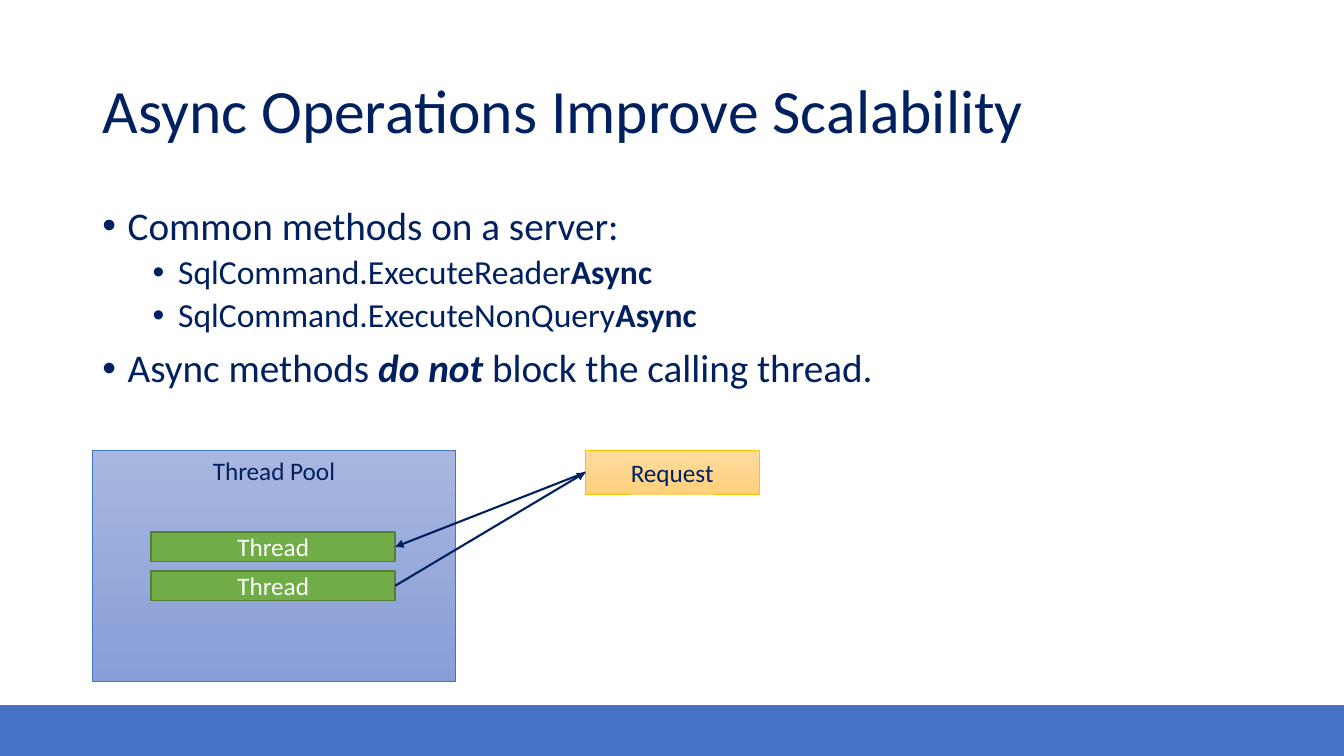
from lxml import etree
from pptx import Presentation
from pptx.dml.color import RGBColor
from pptx.enum.shapes import MSO_CONNECTOR, MSO_SHAPE
from pptx.enum.text import MSO_ANCHOR, MSO_AUTO_SIZE, PP_ALIGN
from pptx.oxml.ns import qn
from pptx.util import Cm, Pt

FONT = "Calibri"
COLORS = {
    "navy": "002060", "white": "FFFFFF", "blue": "4472C4",
    "pool_top": "A8B7DF", "pool_bottom": "889ED7",
    "green": "70AD47", "dark_green": "538035",
    "request_top": "FFDB9E", "request_bottom": "FFD07C", "gold": "FFC000",
}
LEFT_SITE, RIGHT_SITE = 1, 3


def rgb(name):
    """Return the named colour."""
    return RGBColor.from_string(COLORS[name])


def add_run(paragraph, text, size, color="navy", bold=False, italic=False):
    """Append a formatted run to a paragraph."""
    run = paragraph.add_run()
    run.text = text
    font = run.font
    font.name, font.size, font.bold, font.italic = FONT, Pt(size), bold, italic
    font.color.rgb = rgb(color)


def add_box(slide, box, fills, line, width, text="", color="navy", anchor=MSO_ANCHOR.MIDDLE):
    """Add a labelled rectangle with a solid or top-to-bottom gradient fill."""
    shape = slide.shapes.add_shape(MSO_SHAPE.RECTANGLE, *map(Cm, box))
    shape.shadow.inherit = False
    if len(fills) == 1:
        shape.fill.solid()
        shape.fill.fore_color.rgb = rgb(fills[0])
    else:
        shape.fill.gradient()
        shape.fill.gradient_angle = 270
        for stop, name in zip(shape.fill.gradient_stops, fills):
            stop.color.rgb = rgb(name)
    shape.line.color.rgb = rgb(line)
    shape.line.width = Pt(width)
    if text:
        frame = shape.text_frame
        frame.word_wrap = True
        frame.vertical_anchor = anchor
        frame.paragraphs[0].alignment = PP_ALIGN.CENTER
        add_run(frame.paragraphs[0], text, 18, color)
    return shape


def add_arrow(slide, start, start_site, end, end_site):
    """Connect two shapes with an arrow pointing at the second."""
    arrow = slide.shapes.add_connector(MSO_CONNECTOR.STRAIGHT, 0, 0, 0, 0)
    arrow.begin_connect(start, start_site)
    arrow.end_connect(end, end_site)
    arrow.line.color.rgb = rgb("navy")
    arrow.line.width = Pt(1.5)
    etree.SubElement(arrow.line._get_or_add_ln(), qn("a:tailEnd"), type="triangle")
    etree.SubElement(arrow._element.spPr, qn("a:effectLst"))


def add_title(slide, box, text):
    """Place and format the title placeholder."""
    title = slide.shapes.title
    title.left, title.top, title.width, title.height = map(Cm, box)
    frame = title.text_frame
    frame.word_wrap = True
    frame.auto_size = MSO_AUTO_SIZE.NONE
    frame.vertical_anchor = MSO_ANCHOR.MIDDLE
    paragraph = frame.paragraphs[0]
    paragraph.alignment = PP_ALIGN.LEFT
    paragraph.line_spacing = 0.9
    add_run(paragraph, text, 44)


def add_bullets(slide, box, items):
    """Add a two-level bullet list of (level, runs) items."""
    frame = slide.shapes.add_textbox(*map(Cm, box)).text_frame
    frame.word_wrap = True
    for index, (level, runs) in enumerate(items):
        paragraph = frame.add_paragraph() if index else frame.paragraphs[0]
        paragraph.level = level
        paragraph.line_spacing = 0.9
        paragraph.space_before = Pt(5 if level else 10)
        properties = paragraph._p.get_or_add_pPr()
        properties.set("marL", str(Cm(0.64 + 1.27 * level)))
        properties.set("indent", str(-Cm(0.64)))
        etree.SubElement(properties, qn("a:buFont"), typeface="Arial")
        etree.SubElement(properties, qn("a:buChar"), char="•")
        for text, bold, italic in runs:
            add_run(paragraph, text, 24 if level else 28, bold=bold, italic=italic)


def add_thread_diagram(slide, box):
    """Draw the thread pool, its threads and the request they serve."""
    left, top, width, height = box
    add_box(slide, (left, top, 9.15, height), ("pool_top", "pool_bottom"),
            "blue", 0.5, "Thread Pool", anchor=MSO_ANCHOR.TOP)
    first, second = [
        add_box(slide, (left + 1.48, top + 2.05 + 0.98 * row, 6.15, 0.74),
                ("green",), "dark_green", 1, "Thread", "white")
        for row in range(2)
    ]
    request = add_box(slide, (left + width - 4.38, top, 4.38, 1.09),
                      ("request_top", "request_bottom"), "gold", 0.5, "Request")
    add_arrow(slide, request, LEFT_SITE, first, RIGHT_SITE)
    add_arrow(slide, second, RIGHT_SITE, request, LEFT_SITE)


def main():
    """Build and save the slide."""
    deck = Presentation()
    deck.slide_width, deck.slide_height = Cm(33.87), Cm(19.05)
    slide = deck.slides.add_slide(deck.slide_layouts[5])
    add_box(slide, (0, 17.78, 33.87, 1.27), ("blue",), "blue", 1)
    add_title(slide, (2.33, 1.01, 29.21, 3.68), "Async Operations Improve Scalability")
    add_bullets(slide, (2.33, 5.07, 29.21, 12.09), [
        (0, [("Common methods on a server:", False, False)]),
        *[(1, [("SqlCommand." + method, False, False), ("Async", True, False)])
          for method in ("ExecuteReader", "ExecuteNonQuery")],
        (0, [("Async methods ", False, False), ("do not ", True, True),
             ("block the calling thread.", False, False)]),
    ])
    add_thread_diagram(slide, (2.33, 11.36, 16.8, 5.8))
    deck.save("out.pptx")


main()
